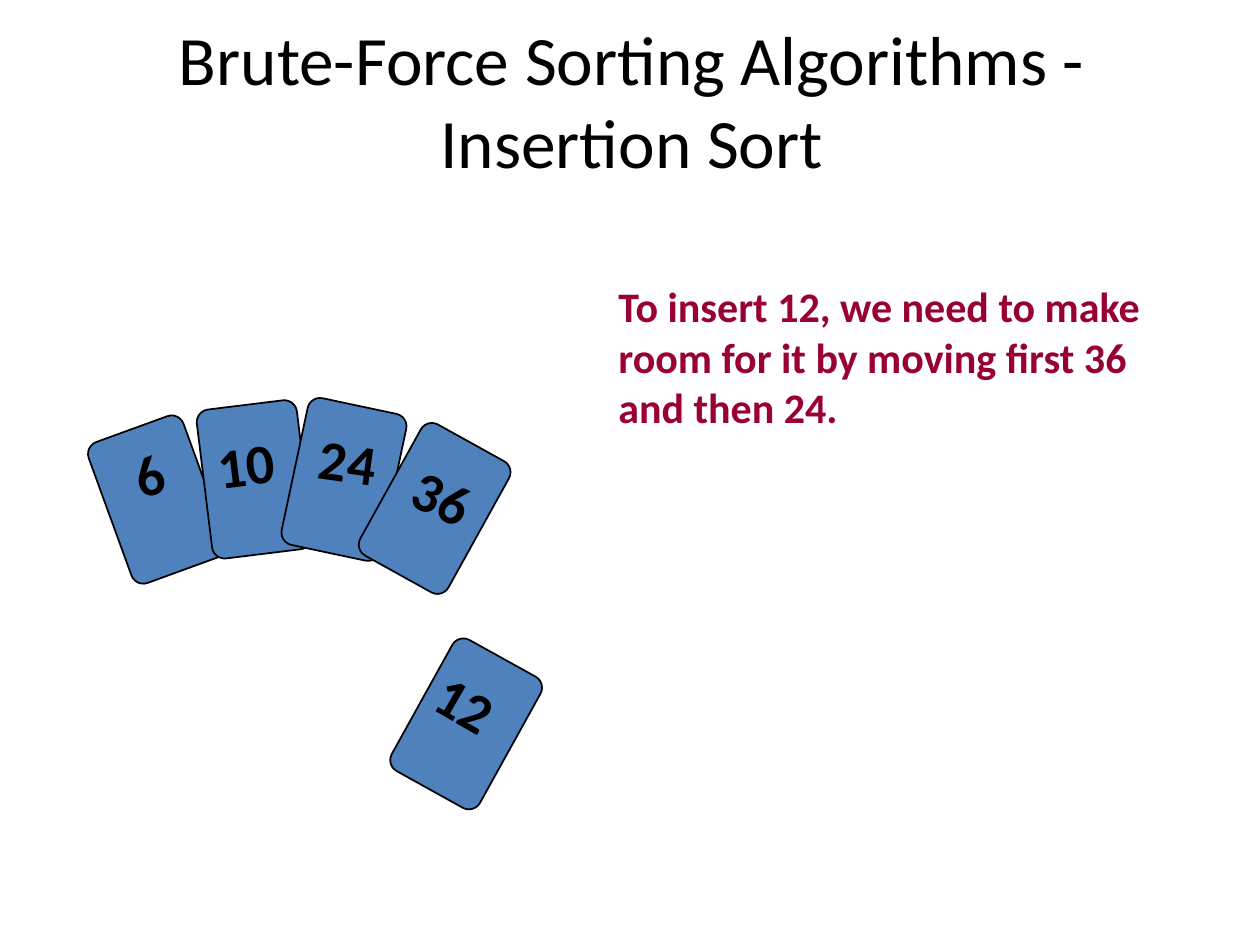
from typing import NamedTuple

from pptx import Presentation
from pptx.dml.color import RGBColor
from pptx.enum.shapes import MSO_SHAPE
from pptx.enum.text import MSO_ANCHOR, MSO_AUTO_SIZE, PP_ALIGN
from pptx.util import Inches, Pt

ROUNDED = MSO_SHAPE.ROUNDED_RECTANGLE
TOP, BOTTOM = MSO_ANCHOR.TOP, MSO_ANCHOR.BOTTOM
LEFT, CENTER = PP_ALIGN.LEFT, PP_ALIGN.CENTER
FIT_SHAPE, NO_FIT = MSO_AUTO_SIZE.SHAPE_TO_FIT_TEXT, MSO_AUTO_SIZE.NONE

FONT = "Calibri"
COLORS = {"text": "000000", "note": "990033", "card": "4F81BD", "outline": "000000"}
CARD_WIDTH, CARD_HEIGHT = 0.8, 1.19
LABEL_HEIGHT = 0.63


class Card(NamedTuple):
    value: str
    left: float
    top: float
    rotation: float
    label_left: float
    label_top: float
    label_width: float
    label_rotation: float


# The sorted hand, with the card to insert below it
CARDS = [
    Card("6", 0.85, 3.37, 340, 0.97, 3.44, 0.45, 341),
    Card("10", 1.62, 3.21, 353, 1.63, 3.36, 0.7, 353),
    Card("24", 2.33, 3.21, 12, 2.44, 3.34, 0.7, 8),
    Card("12", 3.3, 5.15, 29, 3.37, 5.28, 0.7, 30),
    Card("36", 3.05, 3.44, 29, 3.19, 3.63, 0.7, 25),
]


def add_text(slide, text: str, left: float, top: float, width: float, height: float, *,
             size: float, color: str = "text", bold: bool = False, align=LEFT,
             anchor=TOP, wrap: bool = True, auto_size=FIT_SHAPE,
             rotation: float = 0) -> None:
    box = slide.shapes.add_textbox(Inches(left), Inches(top), Inches(width), Inches(height))
    box.rotation = rotation
    frame = box.text_frame
    frame.word_wrap = wrap
    frame.auto_size = auto_size
    frame.vertical_anchor = anchor
    paragraph = frame.paragraphs[0]
    paragraph.alignment = align
    run = paragraph.add_run()
    run.text = text
    run.font.name = FONT
    run.font.size = Pt(size)
    run.font.bold = bold
    run.font.color.rgb = RGBColor.from_string(COLORS[color])


def add_card(slide, card: Card) -> None:
    shape = slide.shapes.add_shape(ROUNDED, Inches(card.left), Inches(card.top),
                                   Inches(CARD_WIDTH), Inches(CARD_HEIGHT))
    shape.adjustments[0] = 0.125
    shape.rotation = card.rotation
    shape.shadow.inherit = False
    shape.fill.solid()
    shape.fill.fore_color.rgb = RGBColor.from_string(COLORS["card"])
    shape.line.color.rgb = RGBColor.from_string(COLORS["outline"])
    shape.line.width = Pt(1)
    add_text(slide, card.value, card.label_left, card.label_top, card.label_width,
             LABEL_HEIGHT, size=32, bold=True, wrap=False, rotation=card.label_rotation)


def main() -> None:
    presentation = Presentation()
    presentation.slide_width = Inches(10)
    presentation.slide_height = Inches(7.5)
    slide = presentation.slides.add_slide(presentation.slide_layouts[6])

    # Explanation
    add_text(slide, "To insert 12, we need to make room for it by moving first 36 and then 24.",
             4.81, 2.18, 4.66, 1.3, size=24, color="note", bold=True)

    # Title
    add_text(slide, "Brute-Force Sorting Algorithms - Insertion Sort", 0.56, 0.17, 8.91, 1.33,
             size=39.6, align=CENTER, anchor=BOTTOM, auto_size=NO_FIT)

    # Cards
    for card in CARDS:
        add_card(slide, card)

    presentation.save("out.pptx")


if __name__ == "__main__":
    main()
